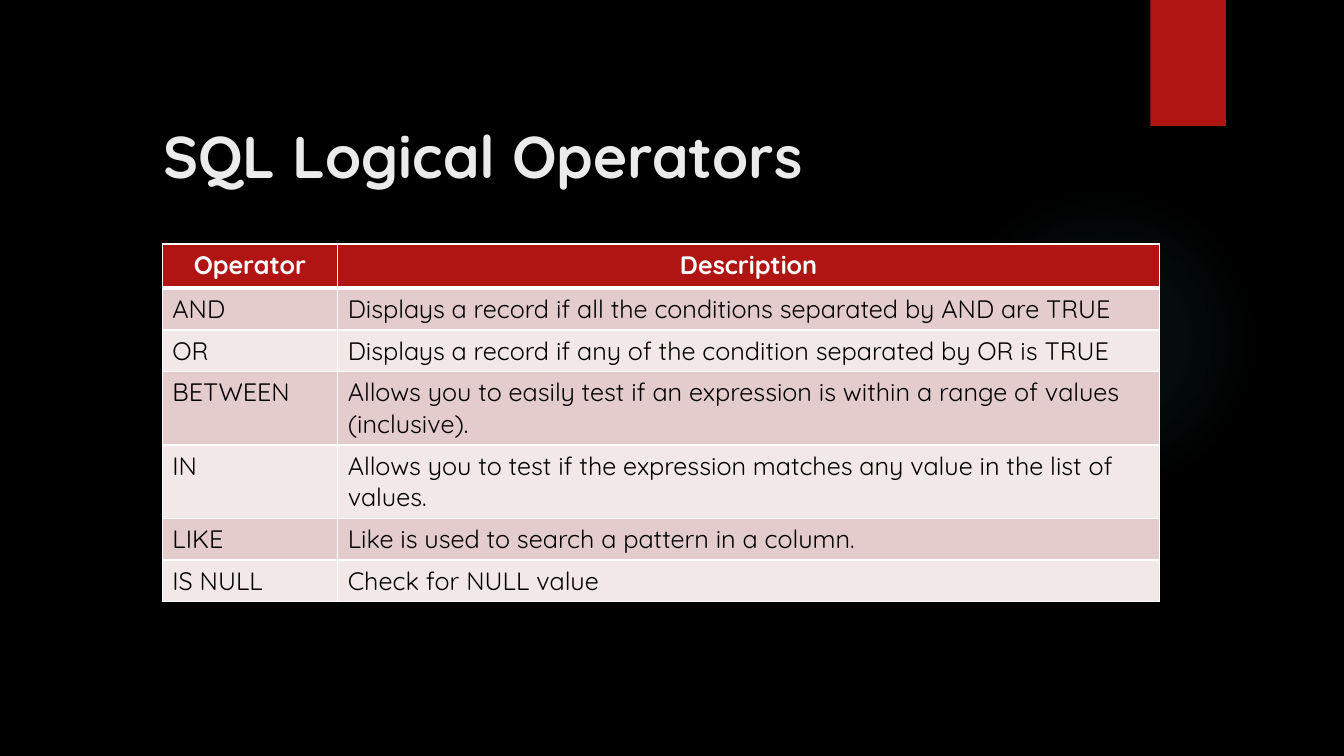
from lxml import etree
from pptx import Presentation
from pptx.dml.color import RGBColor
from pptx.enum.shapes import MSO_SHAPE
from pptx.enum.text import MSO_ANCHOR, PP_ALIGN
from pptx.oxml import parse_xml
from pptx.oxml.ns import nsdecls, qn
from pptx.util import Inches, Pt

OVAL, RECTANGLE = MSO_SHAPE.OVAL, MSO_SHAPE.RECTANGLE
MIDDLE = MSO_ANCHOR.MIDDLE
LEFT, CENTER = PP_ALIGN.LEFT, PP_ALIGN.CENTER

BLACK = RGBColor(0x00, 0x00, 0x00)
WHITE = RGBColor(0xFF, 0xFF, 0xFF)
OFF_WHITE = RGBColor(0xEB, 0xEB, 0xEB)
RED = RGBColor(0xB0, 0x15, 0x13)
TEAL = RGBColor(0x50, 0xB9, 0xC1)
ROW_FILLS = (RGBColor(0xE4, 0xCC, 0xCC), RGBColor(0xF2, 0xE8, 0xE7))

FONT = "Quicksand"
GLOW_STOPS = ((0, 7), (36, 6), (69, 0))  # position and opacity, percent
COLUMN_WIDTHS = (1.74, 8.15)
HEADER_HEIGHT, ROW_HEIGHT = 0.44, 0.41

OPERATORS = (
    ("Operator", "Description"),
    ("AND", "Displays a record if all the conditions separated by AND are TRUE"),
    ("OR", "Displays a record if any of the condition separated by OR is TRUE"),
    ("BETWEEN", "Allows you to easily test if an expression is within a range of values (inclusive)."),
    ("IN", "Allows you to test if the expression matches any value in the list of values."),
    ("LIKE", "Like is used to search a pattern in a column."),
    ("IS NULL", "Check for NULL value"),
)


def format_text(text_frame, text, color, align=LEFT, **font_values):
    text_frame.text = text
    paragraph = text_frame.paragraphs[0]
    paragraph.alignment = align
    font = paragraph.runs[0].font
    for name, value in {"name": FONT, **font_values}.items():
        setattr(font, name, value)
    font.color.rgb = color


def add_decoration(slide, preset, left, top, width, height, color):
    decoration = slide.shapes.add_shape(
        preset, Inches(left), Inches(top), Inches(width), Inches(height))
    decoration.shadow.inherit = False
    decoration.fill.solid()
    decoration.fill.fore_color.rgb = color
    decoration.line.fill.background()
    return decoration


def fade_outwards(decoration, color, stops):
    stop_xml = "".join(
        f'<a:gs pos="{position * 1000}"><a:srgbClr val="{color}">'
        f'<a:alpha val="{opacity * 1000}"/></a:srgbClr></a:gs>'
        for position, opacity in stops)
    gradient = parse_xml(
        f'<a:gradFill {nsdecls("a")} rotWithShape="1"><a:gsLst>{stop_xml}</a:gsLst>'
        '<a:path path="circle"><a:fillToRect l="50000" t="50000" r="50000" b="50000"/>'
        '</a:path></a:gradFill>')
    properties = decoration.fill._xPr
    properties.replace(properties.find(qn("a:solidFill")), gradient)


def set_borders(cell, **widths):
    properties = cell._tc.get_or_add_tcPr()
    for side in "LRTB":
        line = etree.SubElement(
            properties, qn(f"a:ln{side}"), w=str(Pt(widths.get(side, 1))))
        fill = etree.SubElement(line, qn("a:solidFill"))
        etree.SubElement(fill, qn("a:srgbClr"), val=str(WHITE))


def add_title(slide, text):
    title = slide.shapes.title
    place = {"left": 1.52, "top": 1.12, "width": 10.24, "height": 0.84}
    for name, value in place.items():
        setattr(title, name, Inches(value))
    title.text_frame.vertical_anchor = MIDDLE
    format_text(title.text_frame, text, OFF_WHITE, size=Pt(42), bold=True)


def add_operator_table(slide):
    heights = [HEADER_HEIGHT] + [ROW_HEIGHT] * (len(OPERATORS) - 1)
    table = slide.shapes.add_table(
        len(OPERATORS), len(COLUMN_WIDTHS), Inches(1.61), Inches(2.42),
        Inches(sum(COLUMN_WIDTHS)), Inches(sum(heights))).table
    for column, width in zip(table.columns, COLUMN_WIDTHS):
        column.width = Inches(width)
    for row_index, (row, height) in enumerate(zip(table.rows, heights)):
        row.height = Inches(height)
        header = row_index == 0
        for cell, text in zip(row.cells, OPERATORS[row_index]):
            set_borders(cell, T=3 if row_index == 1 else 1, B=3 if header else 1)
            cell.fill.solid()
            cell.fill.fore_color.rgb = RED if header else ROW_FILLS[(row_index - 1) % 2]
            format_text(cell.text_frame, text, WHITE if header else BLACK,
                        CENTER if header else LEFT, size=Pt(18), bold=header)


def main():
    deck = Presentation()
    deck.slide_width, deck.slide_height = Inches(13.33), Inches(7.5)
    slide = deck.slides.add_slide(deck.slide_layouts[5])
    slide.background.fill.solid()
    slide.background.fill.fore_color.rgb = BLACK

    # Backdrop: soft glow and corner ribbon
    glow = add_decoration(slide, OVAL, 9.41, 1.83, 3.08, 3.08, TEAL)
    fade_outwards(glow, TEAL, GLOW_STOPS)
    add_decoration(slide, RECTANGLE, 11.41, 0, 0.75, 1.25, RED)

    # Content
    add_title(slide, "SQL Logical Operators")
    add_operator_table(slide)

    deck.save("out.pptx")


if __name__ == "__main__":
    main()
